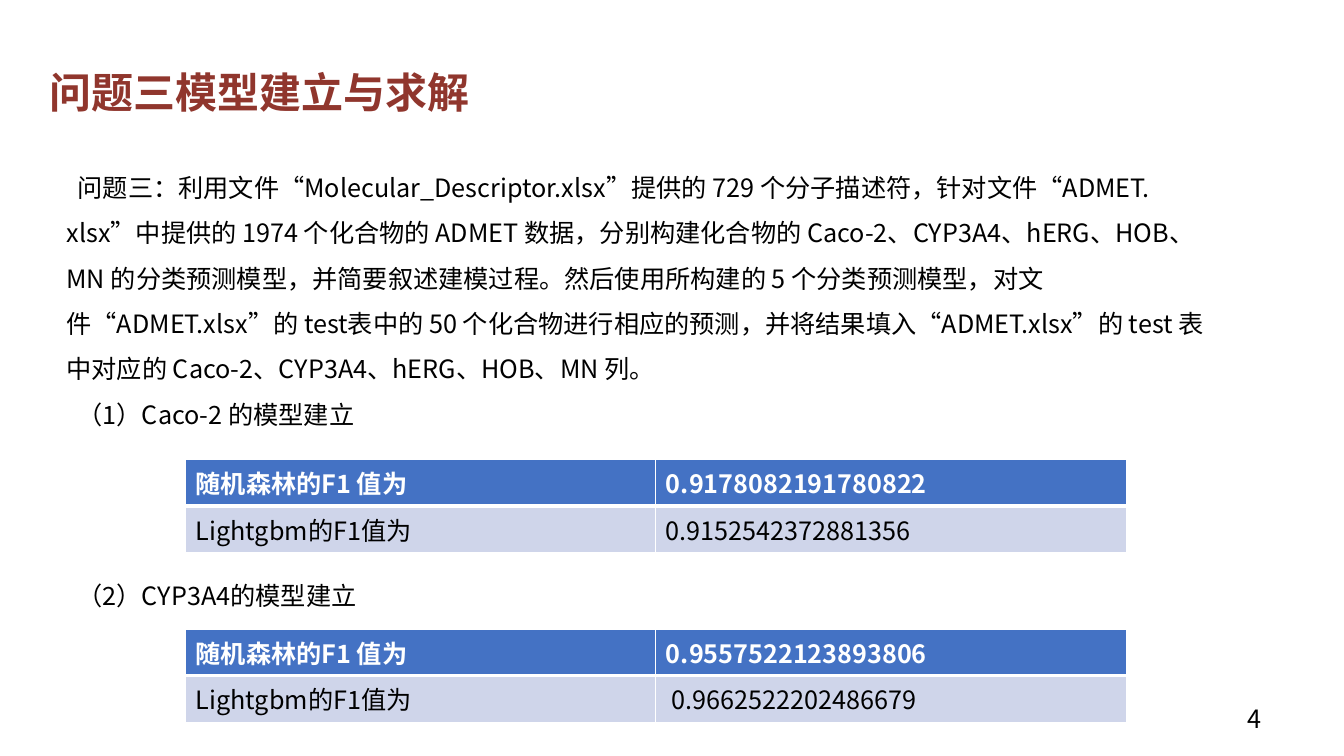
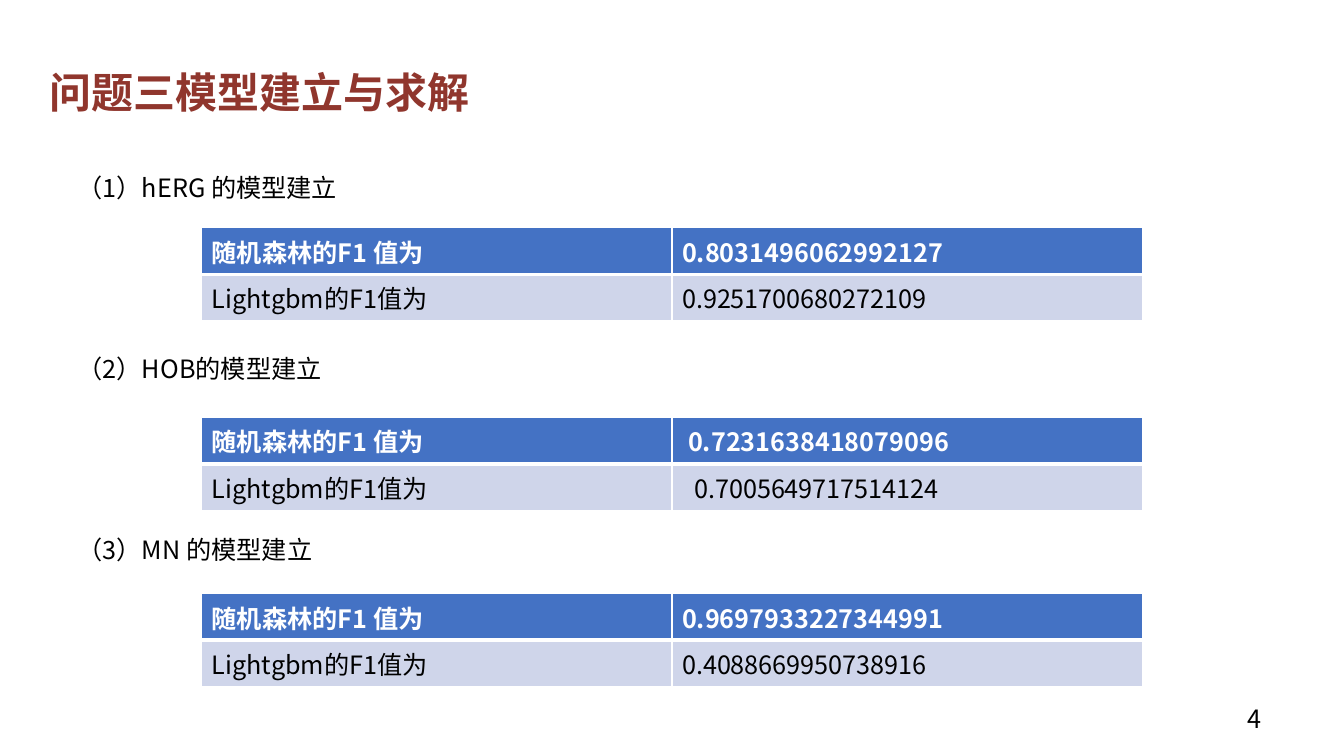
from lxml import etree
from pptx import Presentation
from pptx.dml.color import RGBColor
from pptx.enum.text import MSO_ANCHOR, MSO_AUTO_SIZE, PP_ALIGN
from pptx.oxml.ns import qn
from pptx.util import Inches, Pt

LEFT, TOP, MIDDLE = PP_ALIGN.LEFT, MSO_ANCHOR.TOP, MSO_ANCHOR.MIDDLE
NO_FIT = MSO_AUTO_SIZE.NONE
COLORS = {"title": "90362D", "text": "000000", "white": "FFFFFF",
          "header": "4472C4", "band": "CFD5EA"}
TITLE_FONT, BODY_FONT = "Times New Roman", "Noto Sans CJK SC"
TITLE = "问题三模型建立与求解"
PAGE_NUMBER = "4"
MODEL_LABELS = ("随机森林的F1 值为", "Lightgbm的F1值为")
FIRST_INDENT = Inches(0.11)
TABLE_GAP = Pt(97)
SPACE_WIDTH = 0.06
TABLE_WIDTH, ROW_HEIGHT = 9.33, 0.42

INTRO = (
    "问题三：利用文件“Molecular_Descriptor.xlsx”提供的 729 个分子描述符，"
    "针对文件“ADMET.xlsx”中提供的 1974 个化合物的 ADMET 数据，"
    "分别构建化合物的 Caco-2、CYP3A4、hERG、HOB、MN 的分类预测模型，"
    "并简要叙述建模过程。然后使用所构建的 5 个分类预测模型，"
    "对文件“ADMET.xlsx”的 test表中的 50 个化合物进行相应的预测，"
    "并将结果填入“ADMET.xlsx”的 test 表中对应的 "
    "Caco-2、CYP3A4、hERG、HOB、MN 列。"
)

PAGES = [
    {
        "intro": [INTRO],
        "headings": ["（1）Caco-2 的模型建立", "（2）CYP3A4的模型建立"],
        "table_left": 1.84,
        "tables": [
            (4.56, ("0.9178082191780822", "0.9152542372881356"), (0, 0)),
            (6.24, ("0.9557522123893806", "0.9662522202486679"), (0, 1)),
        ],
    },
    {
        "intro": [],
        "headings": ["（1）hERG 的模型建立", "（2）HOB的模型建立", "（3）MN 的模型建立"],
        "table_left": 2,
        "tables": [
            (2.26, ("0.8031496062992127", "0.9251700680272109"), (0, 0)),
            (4.14, ("0.7231638418079096", "0.7005649717514124"), (1, 2)),
            (5.89, ("0.9697933227344991", "0.4088669950738916"), (0, 0)),
        ],
    },
]


def style_runs(para, font, size, color, bold=False):
    """Format every run of a paragraph, East Asian text included."""
    for span in para.runs:
        span.font.name = font
        span.font.size = Pt(size)
        span.font.bold = bold
        span.font.color.rgb = RGBColor.from_string(COLORS[color])
        if font == BODY_FONT:
            latin = span.font._element.find(qn("a:latin"))
            east_asian = etree.Element(qn("a:ea"), typeface=font)
            latin.addnext(east_asian)


def place(box, left, top, width, height, anchor):
    """Move a text shape and fix its frame settings."""
    box.left, box.top = Inches(left), Inches(top)
    box.width, box.height = Inches(width), Inches(height)
    box.text_frame.word_wrap = True
    box.text_frame.auto_size = NO_FIT
    box.text_frame.vertical_anchor = anchor


def fill_title(box):
    """Write the shared title."""
    place(box, 0.39, 0.61, 5.38, 0.6, MIDDLE)
    box.text_frame.text = TITLE
    para = box.text_frame.paragraphs[0]
    para.alignment = LEFT
    style_runs(para, TITLE_FONT, 30, "title", True)


def fill_body(box, intro, headings):
    """Write the introduction and the headings, leaving room for tables."""
    place(box, 0.56, 1.51, 11.71, 5.5, TOP)
    frame = box.text_frame
    frame.text = "\n".join(intro + headings)
    for index, para in enumerate(frame.paragraphs):
        properties = para._p.get_or_add_pPr()
        properties.set("marL", "0")
        properties.set("indent", str(FIRST_INDENT))
        etree.SubElement(properties, qn("a:buNone"))
        para.alignment = LEFT
        para.line_spacing = 1.5
        para.space_before = TABLE_GAP if index > len(intro) else Pt(0)
        style_runs(para, BODY_FONT, 18, "text")


def add_page_number(page):
    """Add the page number at the lower right."""
    box = page.shapes.add_textbox(0, 0, 0, 0)
    place(box, 12.27, 6.93, 0.79, 0.4, TOP)
    box.text_frame.text = PAGE_NUMBER
    style_runs(box.text_frame.paragraphs[0], BODY_FONT, 18, "text")


def set_borders(cell, header):
    """Draw white cell borders, thicker between header and body."""
    properties = cell._tc.get_or_add_tcPr()
    thick_side = "lnB" if header else "lnT"
    for side in ("lnL", "lnR", "lnT", "lnB"):
        width = Pt(3 if side == thick_side else 1)
        line = etree.SubElement(properties, qn(f"a:{side}"), w=str(width))
        fill = etree.SubElement(line, qn("a:solidFill"))
        etree.SubElement(fill, qn("a:srgbClr"), val=COLORS["white"])


def add_score_table(page, left, top, scores, leading):
    """Add a table comparing the F1 scores of both models."""
    table = page.shapes.add_table(
        2, 2, Inches(left), Inches(top),
        Inches(TABLE_WIDTH), Inches(2 * ROW_HEIGHT)).table
    for row, texts in enumerate(zip(MODEL_LABELS, scores)):
        header = row == 0
        table.rows[row].height = Inches(ROW_HEIGHT)
        for column, text in enumerate(texts):
            cell = table.cell(row, column)
            set_borders(cell, header)
            cell.fill.solid()
            cell.fill.fore_color.rgb = RGBColor.from_string(
                COLORS["header" if header else "band"])
            cell.margin_left = Inches(0.1 + SPACE_WIDTH * leading[row] * column)
            cell.text_frame.text = text
            style_runs(cell.text_frame.paragraphs[0], BODY_FONT, 18,
                       "white" if header else "text", header)


def add_page(deck, content):
    """Build one slide of headings and score tables."""
    page = deck.slides.add_slide(deck.slide_layouts[1])
    fill_title(page.shapes.title)
    fill_body(page.placeholders[1], content["intro"], content["headings"])
    add_page_number(page)
    for top, scores, leading in content["tables"]:
        add_score_table(page, content["table_left"], top, scores, leading)


def main():
    """Build and save the deck."""
    deck = Presentation()
    deck.slide_width, deck.slide_height = Inches(13.33), Inches(7.5)
    for content in PAGES:
        add_page(deck, content)
    deck.save("out.pptx")


if __name__ == "__main__":
    main()
